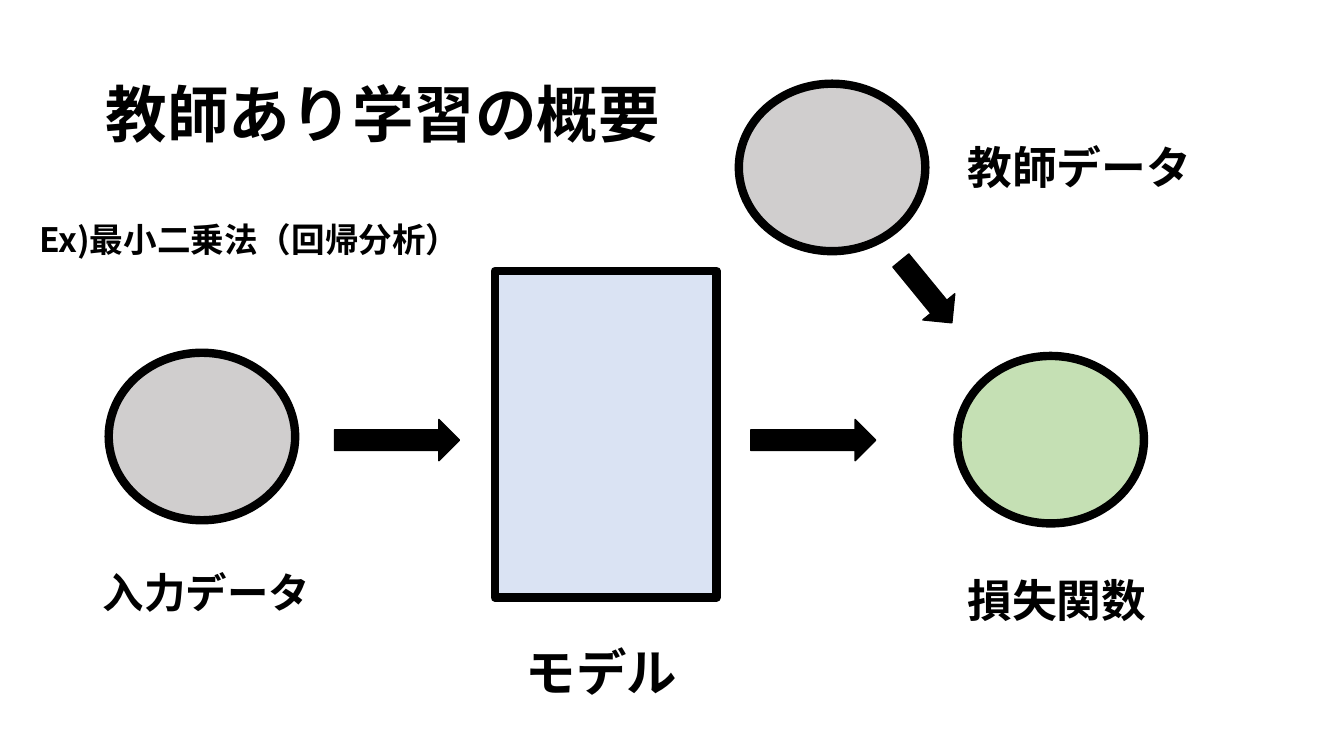
"""Builds a slide that outlines supervised learning as a flow diagram."""
from pptx import Presentation
from pptx.dml.color import RGBColor
from pptx.enum import shapes, text
from pptx.oxml import ns, xmlchemy
from pptx.util import Cm, Pt

FONT = "Noto Sans CJK JP"
BLACK, GREY, BLUE, GREEN = "000000", "D0CECE", "DAE3F3", "C5E0B4"
OVAL = shapes.MSO_SHAPE.OVAL
ARROW = shapes.MSO_SHAPE.RIGHT_ARROW
RECTANGLE = shapes.MSO_SHAPE.RECTANGLE

CIRCLE_SIZE = (4.7, 4.22)
ARROW_SIZE = (3.15, 1.04)
ARROW_TOP = 10.57
RIGHT_COLUMN = 24.13
LABEL_TOP = 14.3

TITLE = ("教師あり学習の概要", 44, (2.41, 1.12, 29.21, 3.68))
INPUT_LABEL = ("入力データ", 29.6, (2.34, LABEL_TOP, 6.1, 1.96))
LABELS = [
    ("モデル", 36, (13, 16.03, 4.47, 1.8)),
    ("教師データ", 32, (RIGHT_COLUMN, 3.4, 6.63, 1.63)),
    ("損失関数", 32, (RIGHT_COLUMN, LABEL_TOP, 5.38, 1.63)),
    ("Ex)最小二乗法（回帰分析）", 24, (0.74, 5.38, 12.12, 1.27)),
]
NODES = [
    (OVAL, (2.74, 8.89, *CIRCLE_SIZE), GREY, 6, 0),
    (ARROW, (8.43, ARROW_TOP, *ARROW_SIZE), BLACK, 1, 0),
    (RECTANGLE, (12.47, 6.83, 5.59, 8.23), BLUE, 6, 0),
    (ARROW, (18.92, ARROW_TOP, *ARROW_SIZE), BLACK, 1, 0),
    (OVAL, (18.62, 2.11, *CIRCLE_SIZE), GREY, 6, 0),
    (ARROW, (22.33, 6.83, 2.03, 1.04), BLACK, 1, 50.7),
    (OVAL, (RIGHT_COLUMN, 8.97, *CIRCLE_SIZE), GREEN, 6, 0),
]


def color(value):
    return RGBColor.from_string(value)


def place(shape, position):
    shape.left, shape.top, shape.width, shape.height = map(Cm, position)


def write(box, words, size):
    box.text_frame.word_wrap = True
    para = box.text_frame.paragraphs[0]
    para.text = words
    para.alignment = text.PP_ALIGN.LEFT
    para.font.name = FONT
    para.font.size = Pt(size)
    para.font.bold = True
    para.font.color.rgb = color(BLACK)
    latin = para._p.pPr.find(".//" + ns.qn("a:latin"))
    east_asian = xmlchemy.OxmlElement("a:ea")
    east_asian.set("typeface", FONT)
    latin.addnext(east_asian)
    return para


def fill_placeholder(box, content, anchor):
    words, size, position = content
    place(box, position)
    box.text_frame.auto_size = text.MSO_AUTO_SIZE.NONE
    box.text_frame.vertical_anchor = anchor
    if anchor == text.MSO_ANCHOR.TOP:
        properties = box.text_frame.paragraphs[0]._p.get_or_add_pPr()
        properties.set("marL", "0")
        properties.set("indent", "0")
        properties.append(xmlchemy.OxmlElement("a:buNone"))
    para = write(box, words, size)
    para.line_spacing = 0.9
    para.space_before = Pt(0)


def add_node(page, kind, position, fill, line_width, rotation):
    node = page.shapes.add_shape(kind, *map(Cm, position))
    node.rotation = rotation
    node.shadow.inherit = False
    node.fill.solid()
    node.fill.fore_color.rgb = color(fill)
    node.line.color.rgb = color(BLACK)
    node.line.width = Pt(line_width)


def add_label(page, words, size, position):
    box = page.shapes.add_textbox(*map(Cm, position))
    box.text_frame.auto_size = text.MSO_AUTO_SIZE.SHAPE_TO_FIT_TEXT
    write(box, words, size)


def main():
    deck = Presentation()
    deck.slide_width, deck.slide_height = Cm(33.87), Cm(19.05)
    page = deck.slides.add_slide(deck.slide_layouts[1])
    fill_placeholder(page.shapes.title, TITLE, text.MSO_ANCHOR.MIDDLE)
    fill_placeholder(page.placeholders[1], INPUT_LABEL, text.MSO_ANCHOR.TOP)
    for node in NODES:
        add_node(page, *node)
    for label in LABELS:
        add_label(page, *label)
    deck.save("out.pptx")


if __name__ == "__main__":
    main()
